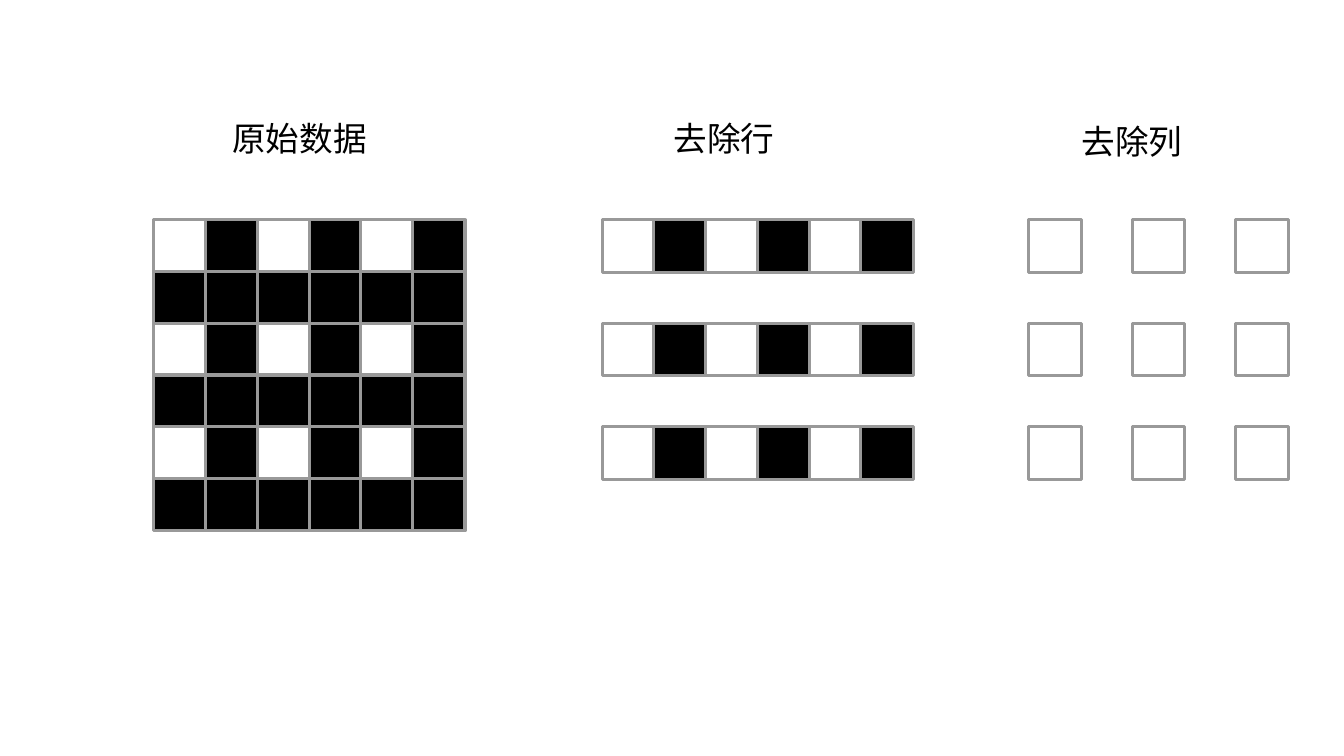
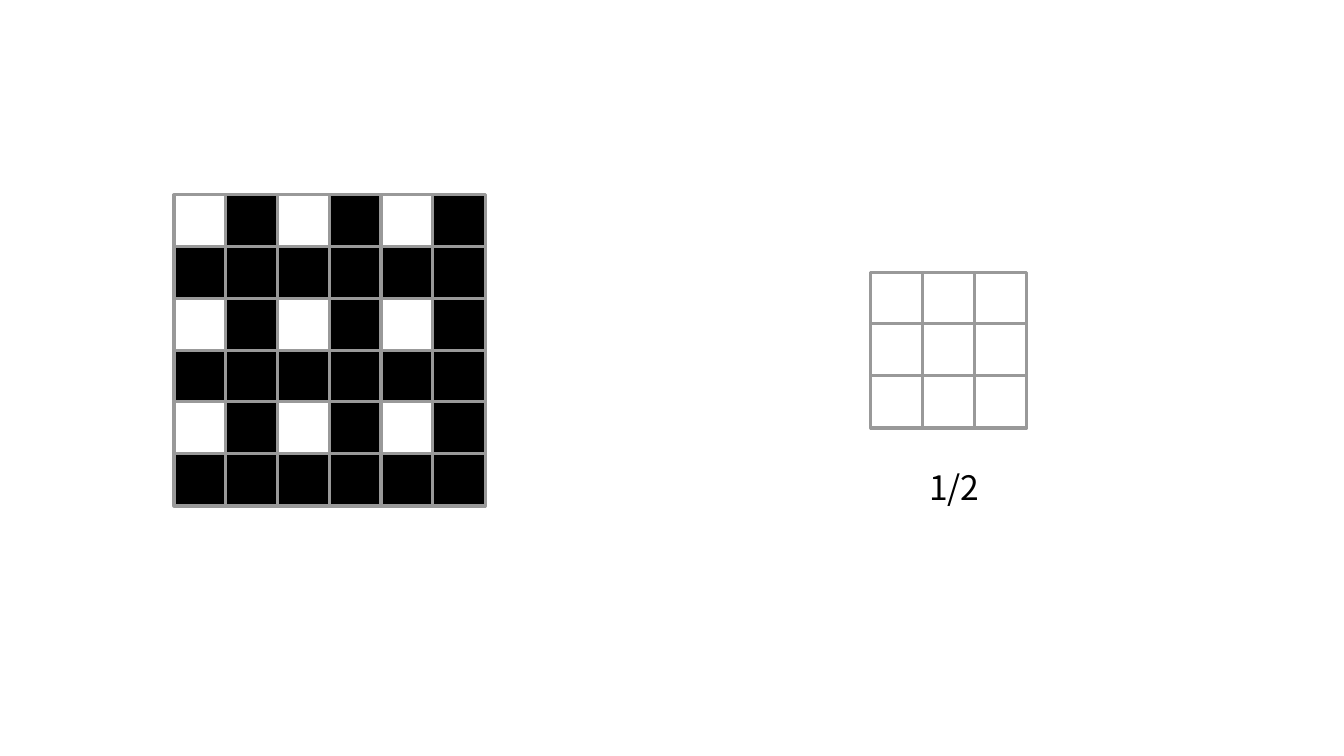
from itertools import product

from lxml.etree import SubElement
from pptx import Presentation
from pptx.dml.color import RGBColor
from pptx.enum.shapes import MSO_SHAPE
from pptx.enum.text import MSO_AUTO_SIZE
from pptx.oxml.ns import qn
from pptx.util import Emu, Pt

WHITE = RGBColor(0xFF, 0xFF, 0xFF)
BLACK = RGBColor(0x00, 0x00, 0x00)
GREY = RGBColor(0x99, 0x99, 0x99)
FONT_NAME = "Noto Sans CJK SC"
LABEL_FORMAT = {"name": FONT_NAME, "size": Pt(24)}
FRAME_FORMAT = {"word_wrap": True, "auto_size": MSO_AUTO_SIZE.SHAPE_TO_FIT_TEXT}

SLIDE_WIDTH, SLIDE_HEIGHT = 2000, 1125
CELL_SIZE, CELL_PITCH = 78, 77
ALL = range(6)
KEPT = range(0, 6, 2)
PACKED = range(3)
BLANK_LAYOUT = 6


def px(length):
    return Emu(length * 6096)


def set_attributes(target, values):
    for name, value in values.items():
        setattr(target, name, value)


def alternating(row, column):
    return WHITE if row % 2 == 0 and column % 2 == 0 else BLACK


def all_white(row, column):
    return WHITE


def add_cell(group, left, top, color):
    cell = group.shapes.add_shape(
        MSO_SHAPE.RECTANGLE, px(left), px(top), px(CELL_SIZE), px(CELL_SIZE)
    )
    cell.shadow.inherit = False
    cell.fill.solid()
    cell.fill.fore_color.rgb = color
    cell.line.color.rgb = GREY
    cell.line.width = Pt(2.25)


def add_grid(slide, left, top, rows, columns, color_rule=alternating):
    group = slide.shapes.add_group_shape()
    for row, column in product(rows, columns):
        add_cell(
            group,
            left + column * CELL_PITCH,
            top + row * CELL_PITCH,
            color_rule(row, column),
        )


def add_label(slide, text, left, top, width, height):
    text_frame = slide.shapes.add_textbox(
        px(left), px(top), px(width), px(height)
    ).text_frame
    set_attributes(text_frame, FRAME_FORMAT)
    run = text_frame.paragraphs[0].add_run()
    run.text = text
    run.font.color.rgb = BLACK
    set_attributes(run.font, LABEL_FORMAT)
    SubElement(run._r.get_or_add_rPr(), qn("a:ea"), typeface=FONT_NAME)


def add_slide(presentation):
    return presentation.slides.add_slide(presentation.slide_layouts[BLANK_LAYOUT])


def build_removal_steps(presentation):
    slide = add_slide(presentation)
    grid_top = 327
    for left, rows, columns in ((229, ALL, ALL), (896, KEPT, ALL), (1531, KEPT, KEPT)):
        add_grid(slide, left, grid_top, rows, columns)
    add_label(slide, "原始数据", 331, 168, 258, 78)
    add_label(slide, "去除行", 988, 168, 189, 75)
    add_label(slide, "去除列", 1595, 173, 189, 78)


def build_half_size(presentation):
    slide = add_slide(presentation)
    add_grid(slide, 259, 290, ALL, ALL)
    add_grid(slide, 1296, 405, PACKED, PACKED, all_white)
    add_label(slide, "1/2", 1368, 687, 107, 75)


def main():
    presentation = Presentation()
    presentation.slide_width = px(SLIDE_WIDTH)
    presentation.slide_height = px(SLIDE_HEIGHT)
    build_removal_steps(presentation)
    build_half_size(presentation)
    presentation.save("out.pptx")


if __name__ == "__main__":
    main()
